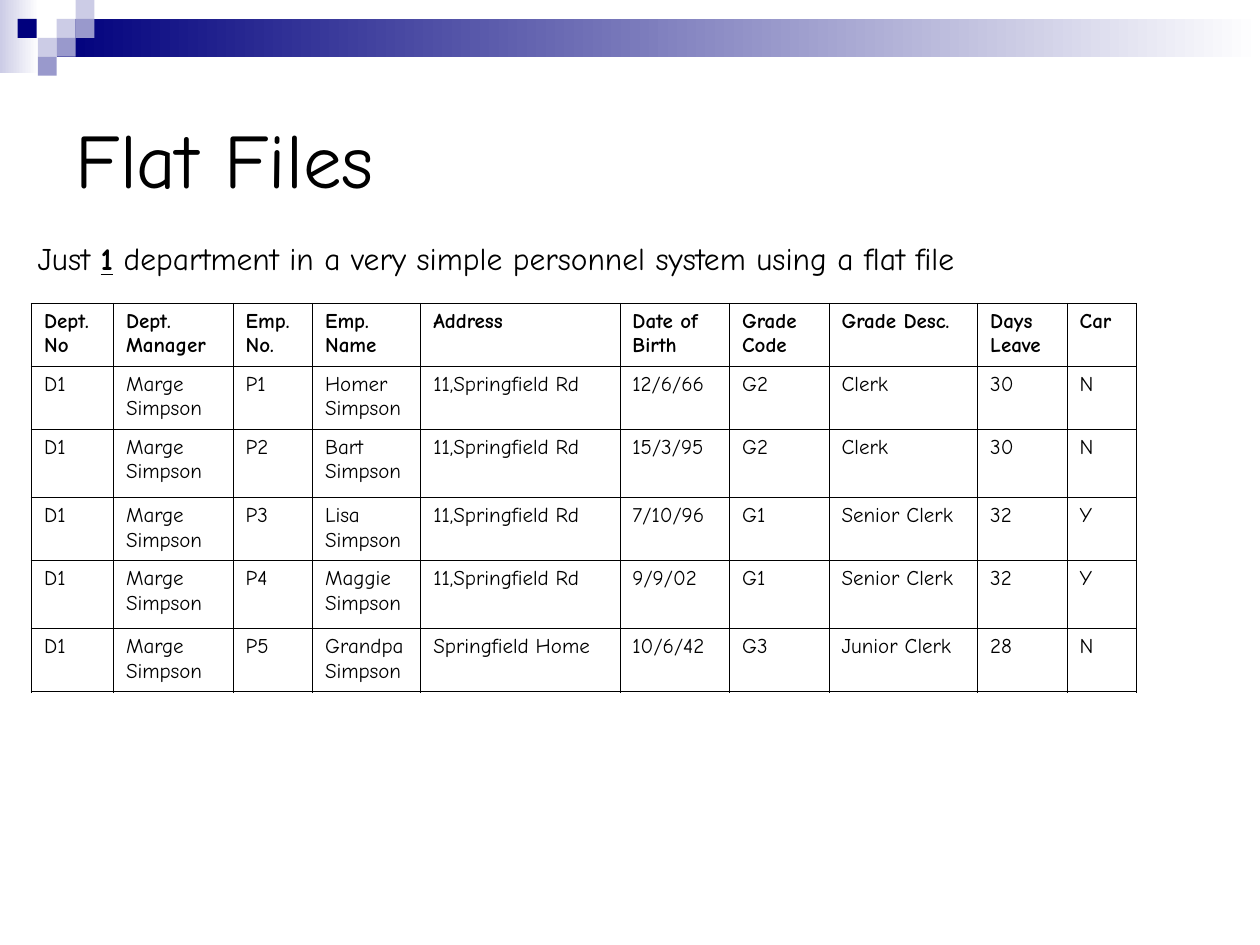
"""Build the Flat Files slide with a one-department personnel table."""
import lxml.etree
import pptx
import pptx.dml.color
import pptx.enum.shapes
import pptx.enum.text
import pptx.oxml.ns
import pptx.util

Inches = pptx.util.Inches
Pt = pptx.util.Pt

FONT = "Comic Neue"
BLACK, NAVY, LILAC, VIOLET, WHITE = "000000", "00007D", "CCCCE6", "9999CC", "FFFFFF"
TITLE = "Flat Files"
CAPTION = [
    ("Just ", {}),
    ("1", {"bold": True, "underline": True}),
    (" department in a very simple personnel system using a flat file", {}),
]
BARS = [((0, 0, 0.31, 0.58), LILAC), ((0.45, 0.15, 9.55, 0.3), NAVY)]
SQUARE = 0.15
SQUARES = [
    (0.45, 0.15, LILAC),
    (0.6, 0, LILAC),
    (0.6, 0.15, VIOLET),
    (0.3, 0.3, LILAC),
    (0.14, 0.15, NAVY),
    (0.45, 0.3, VIOLET),
    (0.3, 0.45, VIOLET),
]
HEADINGS = ["Dept.\vNo", "Dept. Manager", "Emp. No.", "Emp. Name", "Address",
            "Date of Birth", "Grade Code", "Grade Desc.", "Days Leave", "Car"]
DEPARTMENT = ["D1", "Marge Simpson"]
EMPLOYEES = [
    ["P1", "Homer Simpson", "11,Springfield Rd", "12/6/66", "G2", "Clerk", "30", "N"],
    ["P2", "Bart Simpson", "11,Springfield Rd", "15/3/95", "G2", "Clerk", "30", "N"],
    ["P3", "Lisa Simpson", "11,Springfield Rd", "7/10/96", "G1", "Senior Clerk", "32", "Y"],
    ["P4", "Maggie Simpson", "11,Springfield Rd", "9/9/02", "G1", "Senior Clerk", "32", "Y"],
    ["P5", "Grandpa Simpson", "Springfield Home", "10/6/42", "G3", "Junior Clerk", "28", "N"],
]
COLUMN_WIDTHS = [0.65, 0.95, 0.63, 0.86, 1.58, 0.87, 0.79, 1.18, 0.71, 0.55]
ROW_HEIGHTS = [0.5, 0.5, 0.54, 0.5, 0.54, 0.5]
OUTER_LINE, INNER_LINE = 1.08, 0.45


def color(value):
    return pptx.dml.color.RGBColor.from_string(value)


def set_font(font, size, **formats):
    font.color.rgb = color(BLACK)
    for name, value in {"name": FONT, "size": Pt(size), **formats}.items():
        setattr(font, name, value)


def add_rectangle(page, place, start, end=None):
    shape = page.shapes.add_shape(
        pptx.enum.shapes.MSO_SHAPE.RECTANGLE, *map(Inches, place))
    shape.shadow.inherit = False
    shape.line.fill.background()
    if end is None:
        shape.fill.solid()
        shape.fill.fore_color.rgb = color(start)
        return
    shape.fill.gradient()
    shape.fill.gradient_angle = 0
    for stop, value in zip(shape.fill.gradient_stops, (start, end)):
        stop.color.rgb = color(value)


def add_border(cell, side, width):
    qn = pptx.oxml.ns.qn
    properties = cell._tc.get_or_add_tcPr()
    line = lxml.etree.SubElement(properties, qn(f"a:ln{side}"), w=str(int(Pt(width))))
    fill = lxml.etree.SubElement(line, qn("a:solidFill"))
    lxml.etree.SubElement(fill, qn("a:srgbClr"), val=BLACK)


def add_title(page):
    title = page.shapes.title
    title.element.getparent().append(title.element)
    places = zip(("left", "top", "width", "height"), (0.5, 0.5, 9, 1.5))
    for name, value in places:
        setattr(title, name, Inches(value))
    title.text_frame.text = TITLE
    title.text_frame.vertical_anchor = pptx.enum.text.MSO_ANCHOR.MIDDLE
    para = title.text_frame.paragraphs[0]
    para.alignment = pptx.enum.text.PP_ALIGN.LEFT
    set_font(para.runs[0].font, 44)


def add_personnel_table(page):
    rows = [HEADINGS] + [DEPARTMENT + employee for employee in EMPLOYEES]
    last_row, last_column = len(rows) - 1, len(HEADINGS) - 1
    table = page.shapes.add_table(
        len(rows), len(HEADINGS), Inches(0.25), Inches(2.41),
        Inches(sum(COLUMN_WIDTHS)), Inches(sum(ROW_HEIGHTS))).table
    table.first_row = table.horz_banding = False
    for column, width in zip(table.columns, COLUMN_WIDTHS):
        column.width = Inches(width)
    for row, height in zip(table.rows, ROW_HEIGHTS):
        row.height = Inches(height)
    for r, values in enumerate(rows):
        for c, value in enumerate(values):
            cell = table.cell(r, c)
            cell.text = value
            for span in cell.text_frame.paragraphs[0].runs:
                set_font(span.font, 12, bold=r == 0)
            edges = {"L": c == 0, "R": c == last_column, "T": r == 0, "B": r == last_row}
            for side, outer in edges.items():
                add_border(cell, side, OUTER_LINE if outer else INNER_LINE)
            cell.fill.background()


def add_caption(page):
    box = page.shapes.add_textbox(*map(Inches, (0.2, 1.85, 8.43, 0.4)))
    box.text_frame.word_wrap = True
    para = box.text_frame.paragraphs[0]
    for text, formats in CAPTION:
        span = para.add_run()
        span.text = text
        set_font(span.font, 18, **formats)


def main():
    deck = pptx.Presentation()
    deck.slide_width, deck.slide_height = Inches(10), Inches(7.5)
    page = deck.slides.add_slide(deck.slide_layouts.get_by_name("Title Only"))
    for place, start in BARS:
        add_rectangle(page, place, start, WHITE)
    for left, top, value in SQUARES:
        add_rectangle(page, (left, top, SQUARE, SQUARE), value)
    add_title(page)
    add_personnel_table(page)
    add_caption(page)
    deck.save("out.pptx")


if __name__ == "__main__":
    main()
